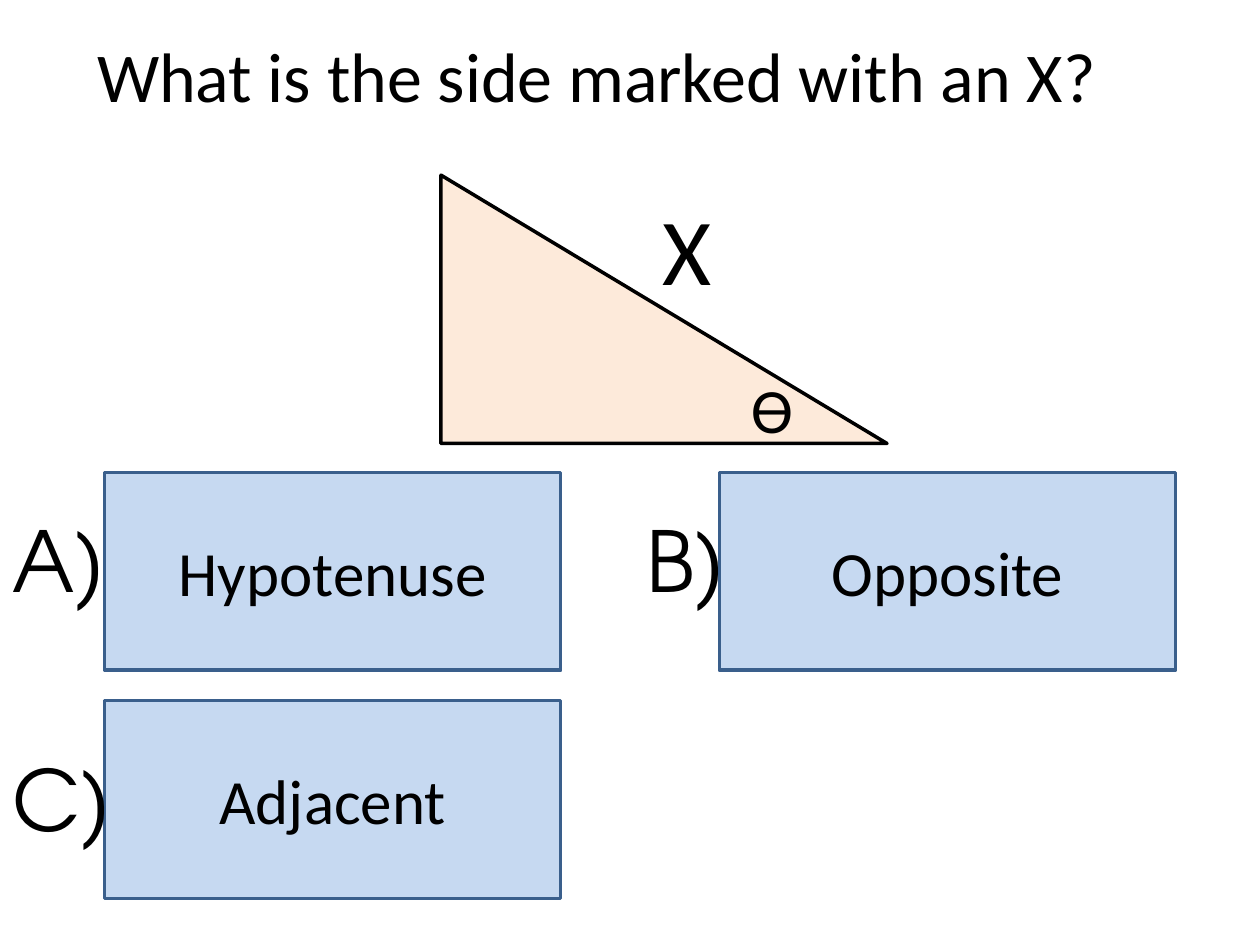
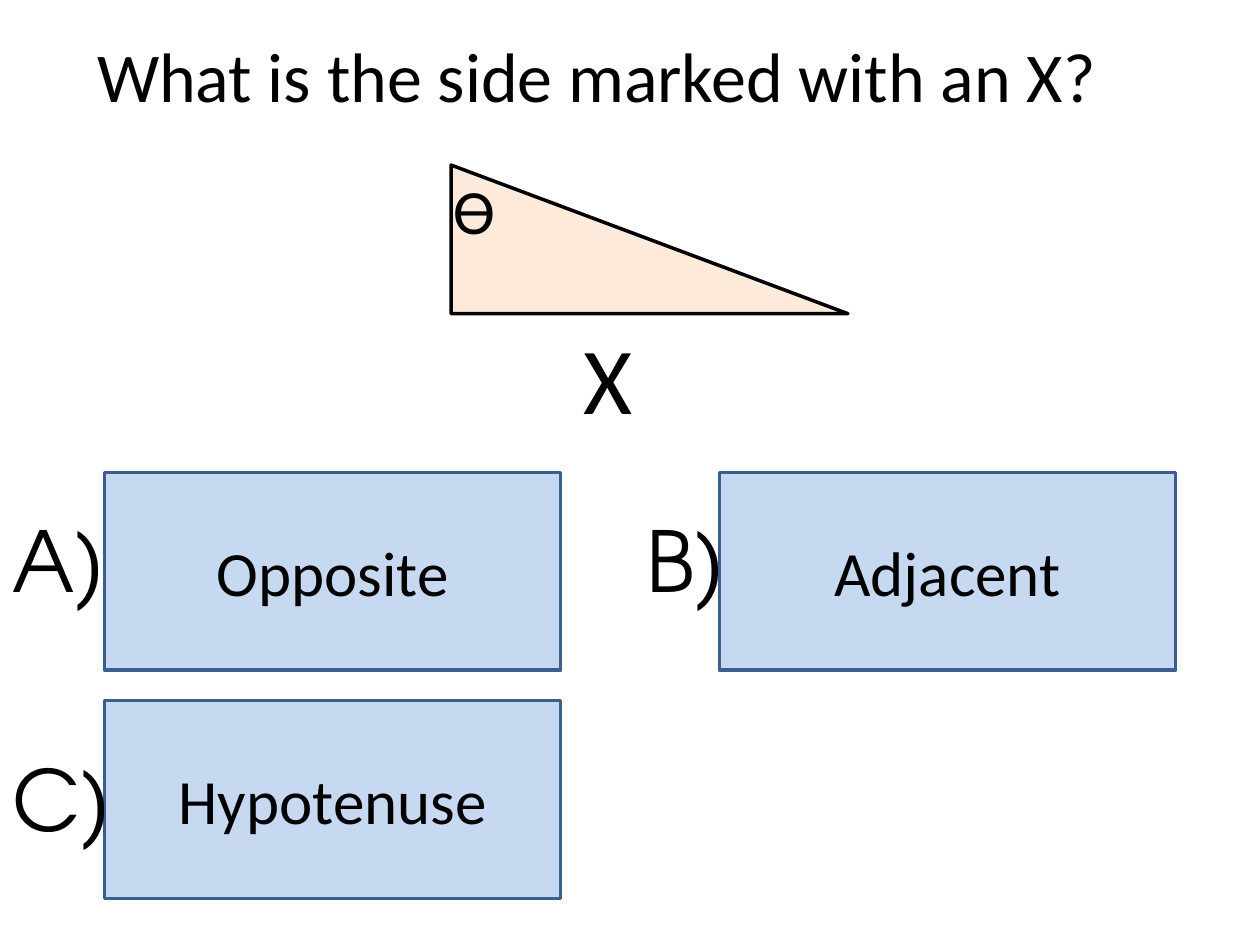
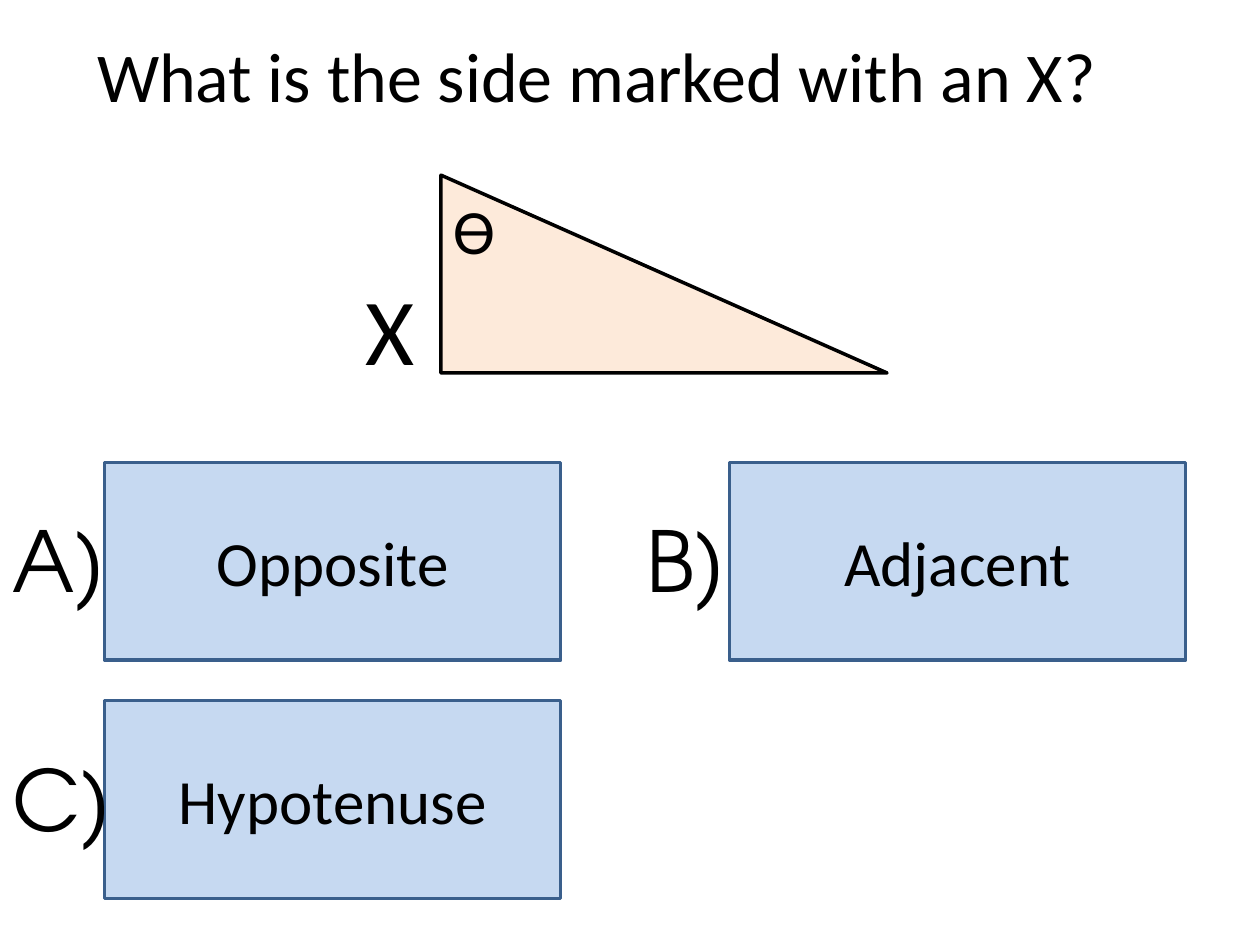
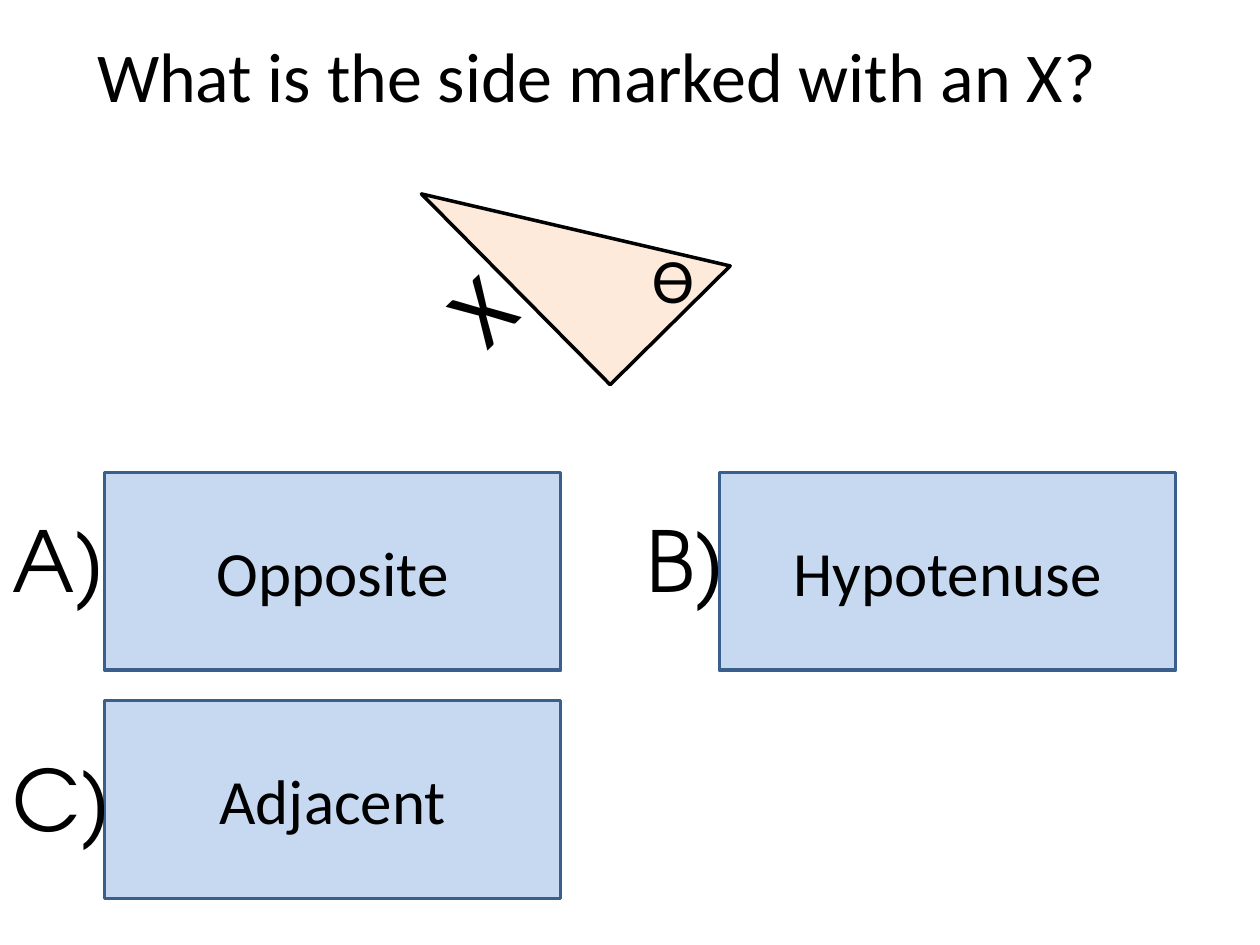
import pptx
import pptx.util
import pptx.dml.color
import pptx.enum.shapes
import pptx.enum.text

Inches = pptx.util.Inches
Pt = pptx.util.Pt
MSO_SHAPE = pptx.enum.shapes.MSO_SHAPE
PP_ALIGN = pptx.enum.text.PP_ALIGN
MSO_ANCHOR = pptx.enum.text.MSO_ANCHOR
MSO_AUTO_SIZE = pptx.enum.text.MSO_AUTO_SIZE

COLOURS = {
    "text": "000000",
    "answer": "C6D9F1",
    "answer_line": "3A5F8C",
    "triangle": "FDEADA",
    "triangle_line": "000000",
}
BODY_FONT = "Calibri"
LETTER_FONT = "TeX Gyre Adventor"
QUESTION = "What is the side marked with an X?"

# Answer letters: text, left, top, width
LETTERS = [("A)", 0, 3.99, 0.95), ("B)", 5.03, 3.99, 0.84), ("C)", 0, 5.88, 1)]
ANSWER_SIZE = (3.62, 1.57)
LEFT_COLUMN, RIGHT_COLUMN = 0.83, 5.71
TOP_ROW, BOTTOM_ROW = 3.75, 5.56

# Answers in order A, B, C; triangle box; places of the angle and side marks
QUIZ = [
    {"answers": ["Hypotenuse", "Opposite", "Adjacent"],
     "triangle": (3.5, 1.39, 3.54, 2.13), "angle": (5.87, 2.89), "side": (5.16, 1.47)},
    {"answers": ["Opposite", "Adjacent", "Hypotenuse"],
     "triangle": (3.58, 1.31, 3.15, 1.18), "angle": (3.5, 1.31), "side": (4.53, 2.49)},
    {"answers": ["Opposite", "Adjacent", "Hypotenuse"],
     "triangle": (3.5, 1.39, 3.54, 1.57), "angle": (3.5, 1.47), "side": (2.8, 2.1),
     "right_column": 5.79, "top_row": 3.67},
    {"answers": ["Opposite", "Hypotenuse", "Adjacent"],
     "triangle": (3.9, 0.76, 1.34, 2.13), "angle": (5.08, 1.86), "side": (3.51, 1.94),
     "triangle_turn": 315.3, "side_turn": 315.7},
]


def colour(name):
    return pptx.dml.color.RGBColor.from_string(COLOURS[name])


def write(frame, text, size, font=BODY_FONT, align=PP_ALIGN.LEFT):
    frame.text = text
    para = frame.paragraphs[0]
    para.alignment = align
    para.font.size = Pt(size)
    para.font.name = font
    para.font.color.rgb = colour("text")


def add_title(page):
    title = page.shapes.title
    title.left, title.top = Inches(0.67), Inches(0.21)
    title.width, title.height = Inches(8.58), Inches(0.77)
    frame = title.text_frame
    frame.vertical_anchor = MSO_ANCHOR.TOP
    frame.auto_size = MSO_AUTO_SIZE.SHAPE_TO_FIT_TEXT
    write(frame, QUESTION, 40)


def add_filled_shape(page, kind, place, fill, line):
    shape = page.shapes.add_shape(kind, *map(Inches, place))
    shape.shadow.inherit = False
    shape.fill.solid()
    shape.fill.fore_color.rgb = colour(fill)
    shape.line.color.rgb = colour(line)
    shape.line.width = Pt(2)
    return shape


def add_answer(page, text, left, top):
    box = add_filled_shape(page, MSO_SHAPE.RECTANGLE, (left, top, *ANSWER_SIZE),
                           "answer", "answer_line")
    box.text_frame.vertical_anchor = MSO_ANCHOR.MIDDLE
    write(box.text_frame, text, 36, align=PP_ALIGN.CENTER)


def add_label(page, text, place, size, font=BODY_FONT, turn=0):
    box = page.shapes.add_textbox(*map(Inches, place))
    box.rotation = turn
    box.text_frame.word_wrap = False
    box.text_frame.auto_size = MSO_AUTO_SIZE.SHAPE_TO_FIT_TEXT
    write(box.text_frame, text, size, font)


def add_answers(page, quiz):
    top_row = quiz.get("top_row", TOP_ROW)
    places = [(LEFT_COLUMN, top_row),
              (quiz.get("right_column", RIGHT_COLUMN), top_row),
              (LEFT_COLUMN, BOTTOM_ROW)]
    for answer, place in zip(quiz["answers"], places):
        add_answer(page, answer, *place)
    for letter, left, top, width in LETTERS:
        add_label(page, letter, (left, top, width, 0.91), 48, LETTER_FONT)


def add_triangle(page, quiz):
    triangle = add_filled_shape(page, MSO_SHAPE.RIGHT_TRIANGLE, quiz["triangle"],
                                "triangle", "triangle_line")
    triangle.rotation = quiz.get("triangle_turn", 0)
    add_label(page, "ϴ", (*quiz["angle"], 0.54, 0.71), 36)
    add_label(page, "X", (*quiz["side"], 0.59, 1.01), 54, turn=quiz.get("side_turn", 0))


def main():
    deck = pptx.Presentation()
    deck.slide_width, deck.slide_height = Inches(10), Inches(7.5)
    title_only = deck.slide_layouts[5]
    for quiz in QUIZ:
        page = deck.slides.add_slide(title_only)
        add_title(page)
        add_answers(page, quiz)
        add_triangle(page, quiz)
    deck.save("out.pptx")


if __name__ == "__main__":
    main()
